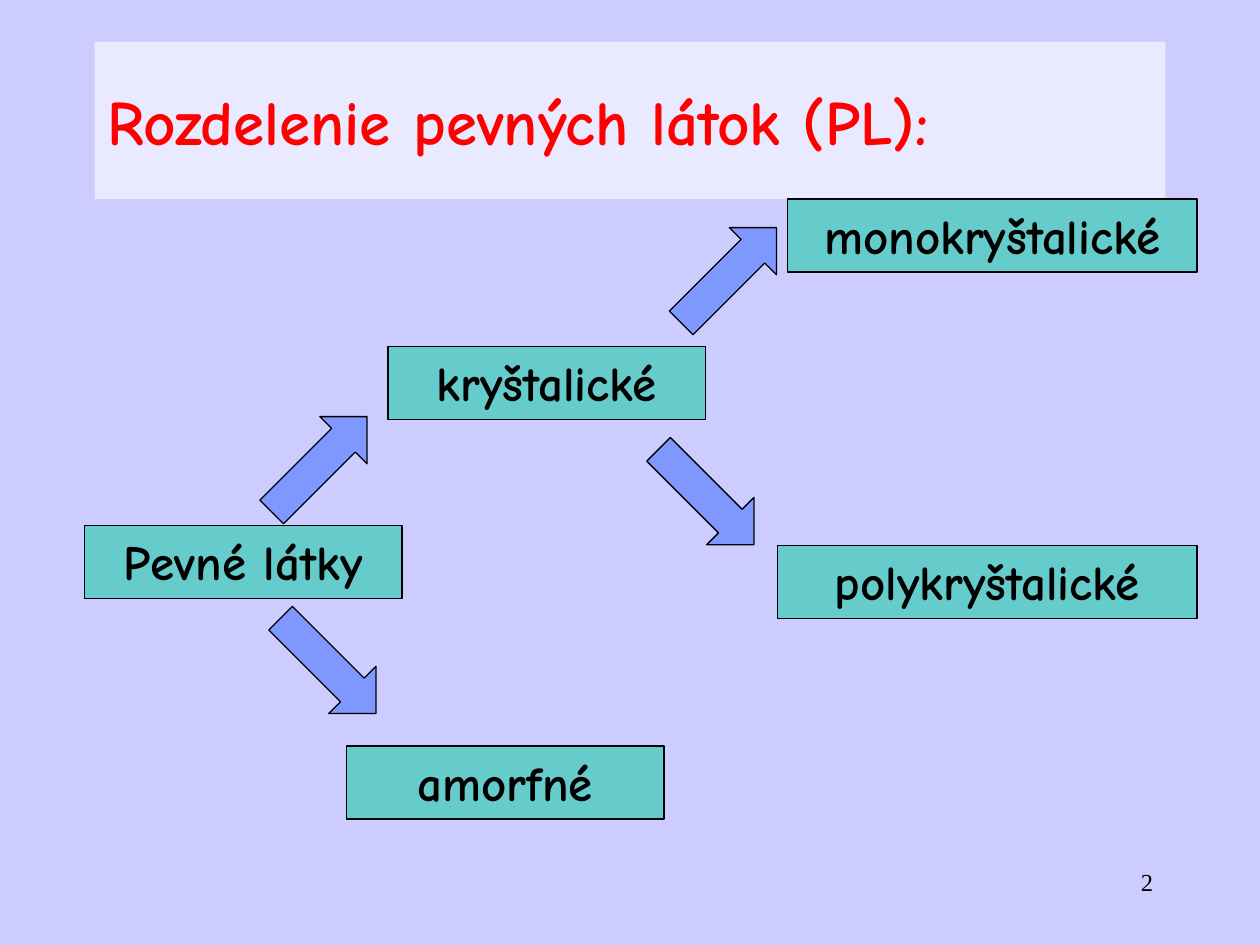
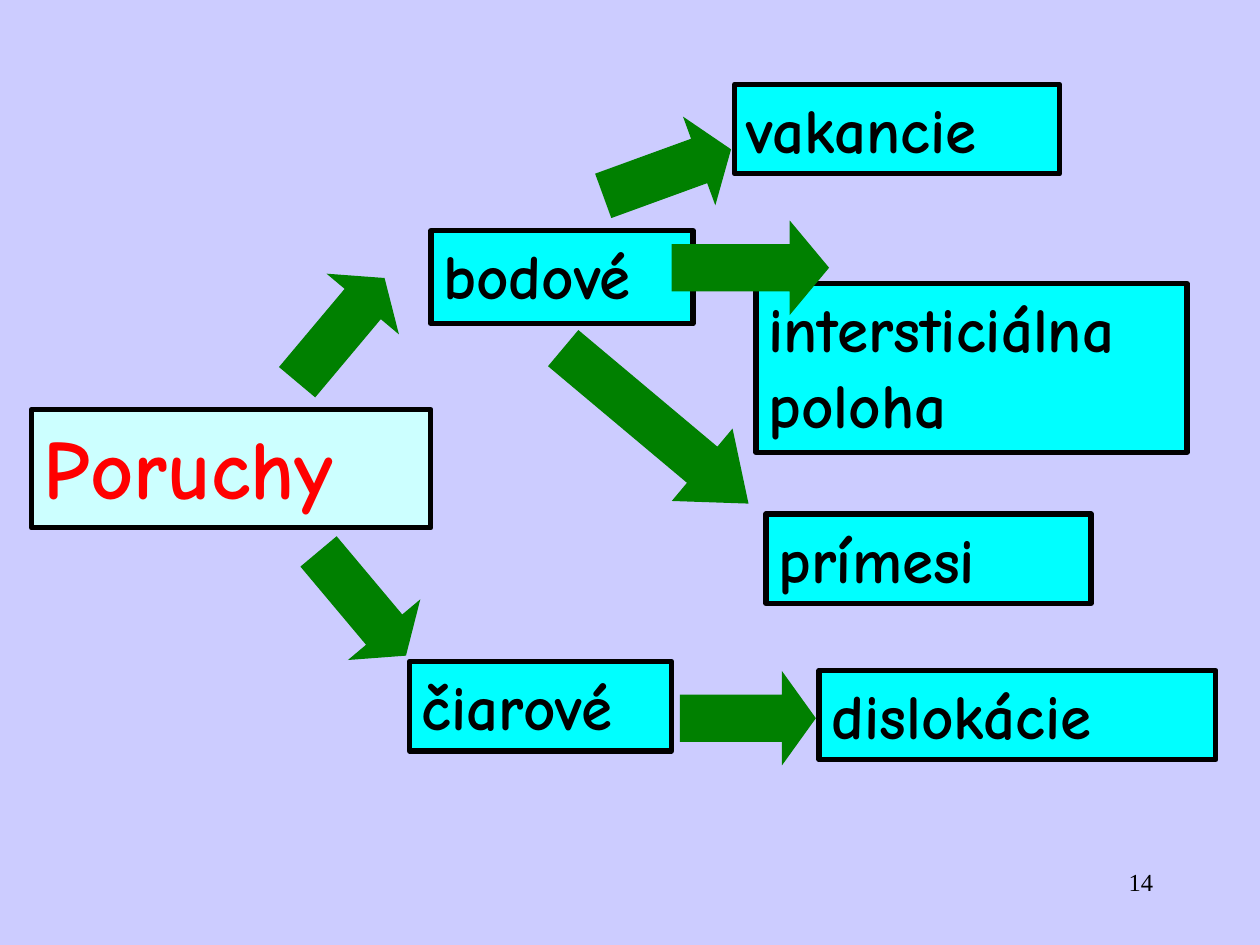
"""Build two diagram slides on the classification and defects of solids."""
from dataclasses import dataclass

from lxml import etree
from pptx import Presentation
from pptx.dml.color import RGBColor
from pptx.enum.shapes import MSO_SHAPE as Shape
from pptx.enum.text import MSO_ANCHOR as Anchor, MSO_AUTO_SIZE as AutoSize, PP_ALIGN as Align
from pptx.oxml.ns import qn
from pptx.util import Inches, Pt

COLOURS = {
    "background": "CCCCFF", "white": "FFFFFF", "black": "000000", "red": "FF0000",
    "teal": "00CC99", "blue": "3366FF", "cyan": "00FFFF", "pale": "CCFFFF",
    "green": "008000",
}
HEADING_FONT = "Comic Neue"
NUMBER_FONT = "Times New Roman"
TITLE_BOX = (0.75, 0.33, 8.5, 1.25)
NUMBER_BOX = (7.17, 6.83, 2.08, 0.5)


@dataclass
class Style:
    """Look of a labelled box."""
    fill: str
    size: int
    line: float
    colour: str = "black"
    opacity: int = 100
    align: Align = Align.LEFT


CLASS_STYLE = Style("teal", 28, 0.75, opacity=50, align=Align.CENTER)
DEFECT_STYLE = Style("cyan", 36, 3)
ROOT_STYLE = Style("pale", 48, 3, colour="red")


def rgb(name):
    """Return a named colour."""
    return RGBColor.from_string(COLOURS[name])


def paint(shape, fill, opacity=100, line=None):
    """Set fill, opacity and outline of a shape."""
    shape.fill.solid()
    shape.fill.fore_color.rgb = rgb(fill)
    if opacity < 100:
        colour = shape.fill._xPr.find(qn("a:solidFill"))[0]
        etree.SubElement(colour, qn("a:alpha"), val=str(opacity * 1000))
    if line:
        shape.line.color.rgb = rgb("black")
        shape.line.width = Pt(line)
    else:
        shape.line.fill.background()


def write(frame, text, font, size, colour="black", bold=True, align=Align.LEFT):
    """Write one formatted run into a text frame."""
    frame.word_wrap = True
    para = frame.paragraphs[0]
    para.alignment = align
    span = para.add_run()
    span.text = text
    span.font.name = font
    span.font.size = Pt(size)
    span.font.bold = bold
    span.font.color.rgb = rgb(colour)


def add_shape(page, kind, box):
    """Add a preset shape without shadow."""
    shape = page.shapes.add_shape(kind, *map(Inches, box))
    shape.shadow.inherit = False
    return shape


def add_label(page, text, box, style):
    """Add an outlined box holding one label."""
    shape = add_shape(page, Shape.RECTANGLE, box)
    paint(shape, style.fill, style.opacity, style.line)
    shape.text_frame.vertical_anchor = Anchor.TOP
    shape.text_frame.auto_size = AutoSize.SHAPE_TO_FIT_TEXT
    write(shape.text_frame, text, HEADING_FONT, style.size, style.colour, align=style.align)


def add_arrow(page, kind, box, angle, head):
    """Add a rotated block arrow with the given head proportion."""
    arrow = add_shape(page, kind, box)
    arrow.rotation = angle
    arrow.adjustments[0] = 0.5
    arrow.adjustments[1] = head
    return arrow


def add_title(page, text, box):
    """Format and fill the title placeholder."""
    title = page.shapes.title
    title.left, title.top, title.width, title.height = map(Inches, box)
    paint(title, "white", 57)
    title.text_frame.vertical_anchor = Anchor.MIDDLE
    title.text_frame.auto_size = AutoSize.NONE
    write(title.text_frame, text, HEADING_FONT, 36, "red")


def add_number(page, number, box):
    """Add the page number at the lower right."""
    frame = page.shapes.add_textbox(*map(Inches, box)).text_frame
    write(frame, str(number), NUMBER_FONT, 14, bold=False, align=Align.RIGHT)


def draw_classes(page, left, top):
    """Draw the tree of solid types from the given corner."""
    labels = [
        ("Pevné látky", 0, 2.59, 2.52), ("kryštalické", 2.41, 1.17, 2.52),
        ("amorfné", 2.08, 4.34, 2.52), ("polykryštalické", 5.5, 2.75, 3.33),
        ("monokryštalické", 5.58, 0, 3.25),
    ]
    for text, x, y, width in labels:
        add_label(page, text, (left + x, top + y, width, 0.58), CLASS_STYLE)
    arrows = [(1.33, 1.84, 315), (4.58, 0.34, 315), (1.4, 3.44, 45), (4.4, 2.1, 45)]
    for x, y, angle in arrows:
        box = (left + x, top + y, 1.07, 0.53)
        arrow = add_arrow(page, Shape.RIGHT_ARROW, box, angle, 0.5)
        paint(arrow, "blue", 50, 0.75)


def draw_defects(page, left, top):
    """Draw the tree of crystal defects from the given corner."""
    add_label(page, "Poruchy", (left, top + 2.58, 3.17, 0.94), ROOT_STYLE)
    labels = [
        ("bodové", 3.17, 1.16, 2.08, 0.74), ("čiarové", 3, 4.58, 2.08, 0.71),
        ("vakancie", 5.58, 0, 2.58, 0.71),
        ("intersticiálna poloha", 5.75, 1.58, 3.42, 1.34),
        ("prímesi", 5.83, 3.41, 2.58, 0.71), ("dislokácie", 6.25, 4.65, 3.15, 0.71),
    ]
    for text, x, y, width, height in labels:
        add_label(page, text, (left + x, top + y, width, height), DEFECT_STYLE)
    arrows = [
        (2.08, 1.41, 1.08, 40), (2.25, 3.58, 1.08, 140), (4.67, 0.16, 1.08, 70),
        (5.33, 0.83, 1.25, 90), (4.58, 1.75, 1.92, 130), (5.31, 4.49, 1.08, 90),
    ]
    for x, y, length, angle in arrows:
        box = (left + x, top + y, 0.75, length)
        paint(add_arrow(page, Shape.UP_ARROW, box, angle, length / 3), "green")


def main():
    """Build and save the deck."""
    deck = Presentation()
    deck.slide_width, deck.slide_height = Inches(10), Inches(7.5)
    backdrop = deck.slide_master.background.fill
    backdrop.solid()
    backdrop.fore_color.rgb = rgb("background")

    title_only, blank = deck.slide_layouts[5], deck.slide_layouts[6]
    classes = deck.slides.add_slide(title_only)
    add_number(classes, 2, NUMBER_BOX)
    add_title(classes, "Rozdelenie pevných látok (PL):", TITLE_BOX)
    draw_classes(classes, 0.67, 1.58)

    defects = deck.slides.add_slide(blank)
    add_number(defects, 14, NUMBER_BOX)
    draw_defects(defects, 0.25, 0.67)
    deck.save("out.pptx")


if __name__ == "__main__":
    main()
